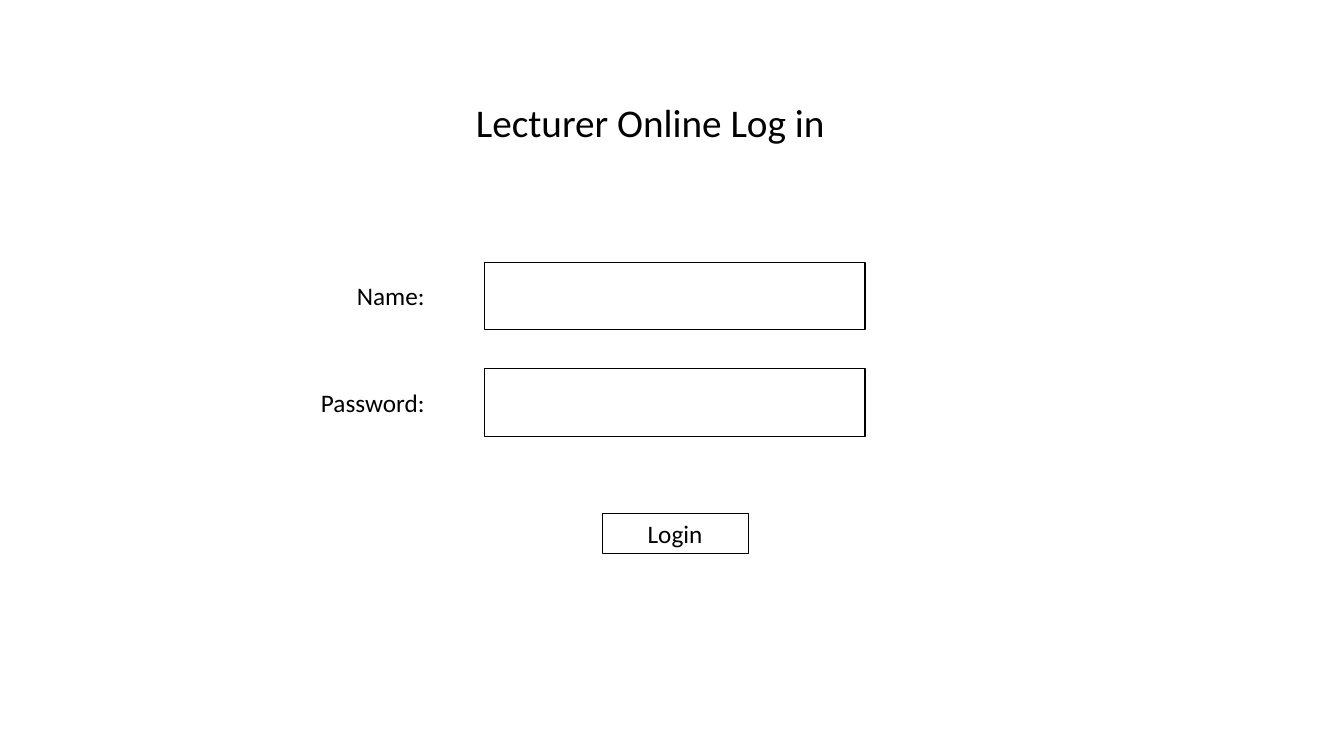
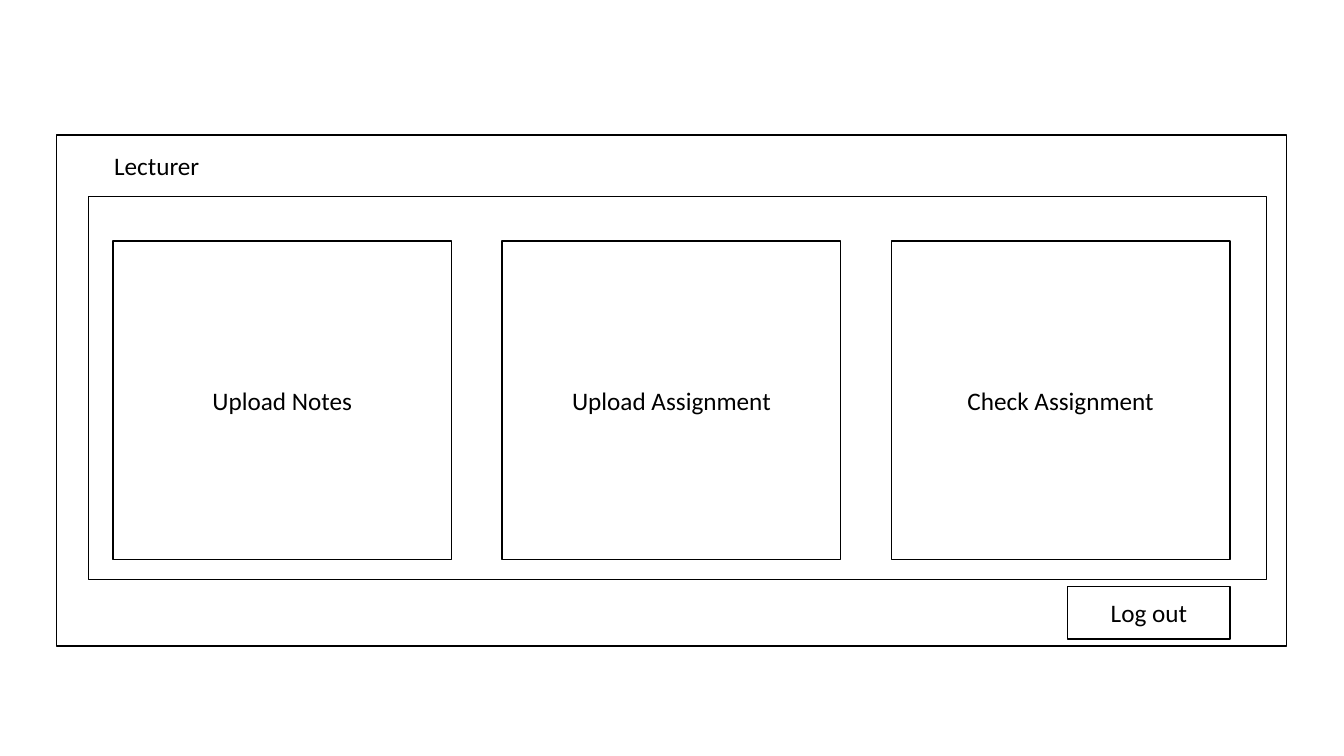
import pptx
import pptx.util
import pptx.dml.color
import pptx.enum.shapes
import pptx.enum.text

INK = pptx.dml.color.RGBColor(0x00, 0x00, 0x00)
FONT = "Calibri"
WIDE, HIGH = 13.33, 7.5
BODY, HEAD = 18, 28
ALIGN = pptx.enum.text.PP_ALIGN
MID = pptx.enum.text.MSO_ANCHOR.MIDDLE


def inch(*sizes):
    return [pptx.util.Inches(size) for size in sizes]


def write(shape, text, align=ALIGN.CENTER, size=BODY):
    frame = shape.text_frame
    frame.word_wrap = True
    frame.auto_size = pptx.enum.text.MSO_AUTO_SIZE.NONE
    frame.vertical_anchor = MID
    line = frame.paragraphs[0]
    line.alignment = align
    run = line.add_run()
    run.text = text
    run.font.name = FONT
    run.font.size = pptx.util.Pt(size)
    run.font.color.rgb = INK


def outline(slide, box, text="", weight=1):
    """Draw an unfilled rectangle with optional centred text."""
    kind = pptx.enum.shapes.MSO_SHAPE.RECTANGLE
    rect = slide.shapes.add_shape(kind, *inch(*box))
    rect.shadow.inherit = False
    rect.fill.background()
    rect.line.color.rgb = INK
    rect.line.width = pptx.util.Pt(weight)
    if text:
        write(rect, text)


def title(slide, box, text, align=ALIGN.CENTER, size=BODY):
    head = slide.shapes.title
    head.left, head.top, head.width, head.height = inch(*box)
    write(head, text, align, size)


def field(slide, box, text):
    """Place a label and its entry box side by side."""
    left, top, width, height = box
    entry = 3.77
    label = width - entry - 0.5
    note = slide.shapes.add_textbox(*inch(left, top, label, height))
    write(note, text, ALIGN.RIGHT)
    outline(slide, (left + width - entry, top, entry, height), weight=0.75)


def login(slide, box):
    left, top, width, height = box
    title(slide, (left + 1.72, top, 4.09, 0.56), "Lecturer Online Log in",
          ALIGN.LEFT, HEAD)
    for row, text in enumerate(("Name:", "Password:")):
        field(slide, (left, top + 1.67 + row * 1.06, width, 0.67), text)
    outline(slide, (left + 3.07, top + height - 0.4, 1.45, 0.4), "Login", 0.25)


def cards(slide, box, names, gap=0.5):
    left, top, width, height = box
    card = (width - gap * (len(names) - 1)) / len(names)
    for col, name in enumerate(names):
        outline(slide, (left + col * (card + gap), top, card, height), name)


def portal(slide, box):
    left, top, width, height = box
    band = 0.61
    outline(slide, box)
    title(slide, (left, top, 1.99, band), "Lecturer")
    outline(slide, (left + 0.32, top + band, width - 0.52, 3.8))
    inner = width - 1.12
    cards(slide, (left + 0.56, top + 1.05, inner, 3.16),
          ("Upload Notes", "Upload Assignment", "Check Assignment"))
    right = left + 0.56 + inner
    outline(slide, (right - 1.61, top + height - 0.59, 1.61, 0.52), "Log out")


def main():
    deck = pptx.Presentation()
    deck.slide_width, deck.slide_height = inch(WIDE, HIGH)
    pages = ((login, (2.9, 0.93, 5.68, 4.56)),
             (portal, (0.56, 1.34, 12.2, 5.07)))
    for draw, box in pages:
        draw(deck.slides.add_slide(deck.slide_layouts[5]), box)
    deck.save("out.pptx")


if __name__ == "__main__":
    main()
